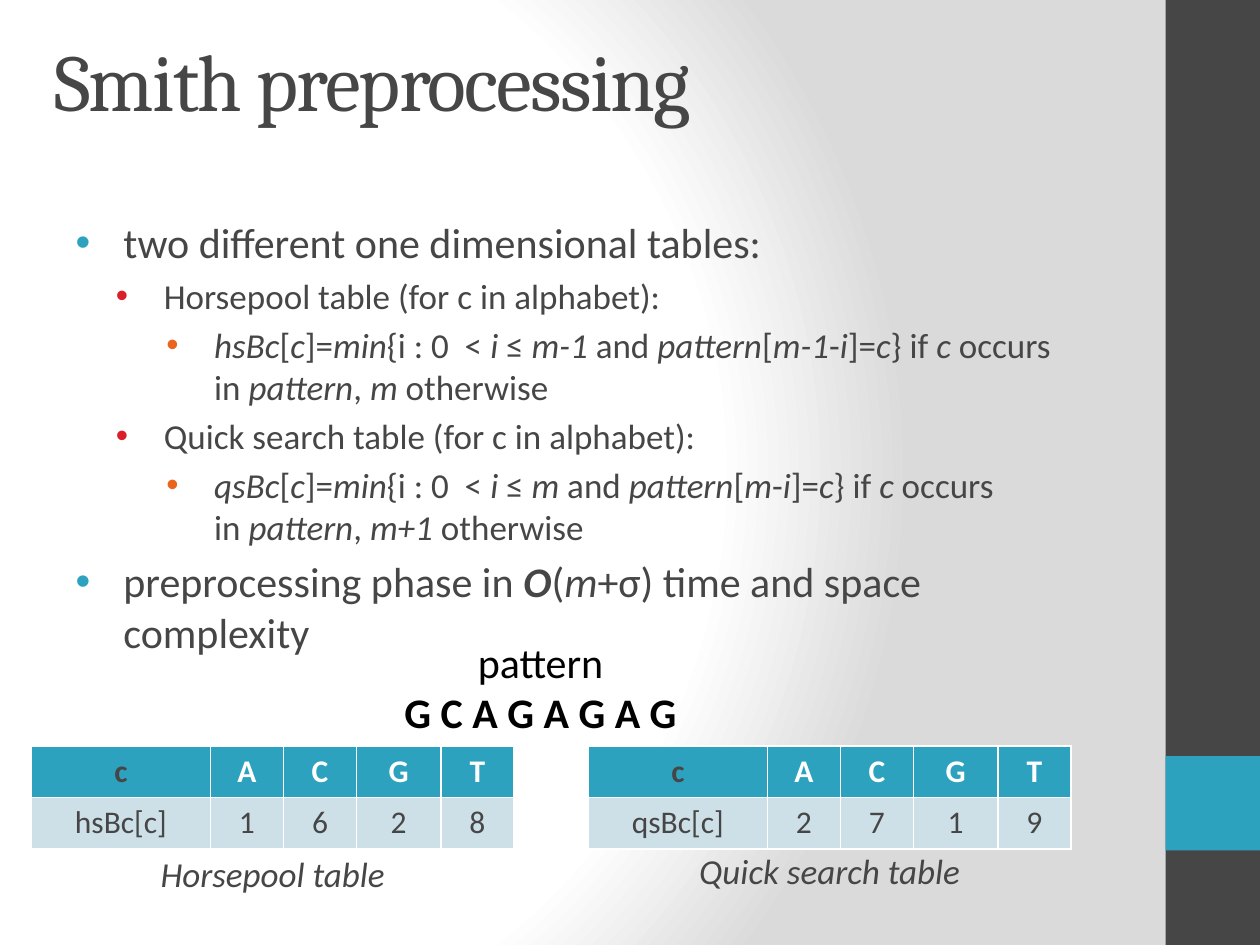
from lxml import etree
from pptx import Presentation
from pptx.dml.color import RGBColor
from pptx.enum.shapes import MSO_SHAPE as SHAPE
from pptx.enum.text import MSO_ANCHOR as ANCHOR, MSO_AUTO_SIZE as AUTO, PP_ALIGN as ALIGN
from pptx.oxml import parse_xml
from pptx.oxml.ns import qn
from pptx.util import Inches, Pt

DARK, TEAL, PALE, WHITE, BLACK = "464646", "2DA2BF", "CDE0E8", "FFFFFF", "000000"
NBSP = chr(160)


def style(font, color, **values):
    font.color.rgb = RGBColor.from_string(color)
    for name, value in {"name": "Calibri", **values}.items():
        setattr(font, name, value)


def label(box, lines, color, **values):
    """Add a centred text box with one paragraph per (text, bold) pair."""
    shape = slide.shapes.add_textbox(*map(Inches, box))
    frame = shape.text_frame
    frame.word_wrap = True
    for n, (text, bold) in enumerate(lines):
        para = frame.add_paragraph() if n else frame.paragraphs[0]
        para.alignment = ALIGN.CENTER
        run = para.add_run()
        run.text = text
        style(run.font, color, bold=bold, **values)


prs = Presentation()
prs.slide_width, prs.slide_height = Inches(10), Inches(7.5)
slide = prs.slides.add_slide(prs.slide_layouts[1])
title, body = slide.placeholders

# Background: light circle fading to grey
slide.background.fill.solid()
back = slide.background.fill._xPr
stops = "".join(
    f'<a:gs pos="{pos}000"><a:srgbClr val="{color}"/></a:gs>'
    for pos, color in ((0, WHITE), (75, WHITE), (100, "DADADA")))
back.replace(back[0], parse_xml(
    '<a:gradFill xmlns:a="http://schemas.openxmlformats.org/drawingml/2006/main" rotWithShape="1">'
    f'<a:gsLst>{stops}</a:gsLst><a:path path="circle">'
    '<a:fillToRect l="20000" t="50000" r="100000" b="50000"/></a:path></a:gradFill>'))

# Side bar
for top, height, color in ((0, 7.5, DARK), (6, 0.75, TEAL)):
    bar = slide.shapes.add_shape(
        SHAPE.RECTANGLE, Inches(9.25), Inches(top), Inches(0.75), Inches(height))
    bar.shadow.inherit = False
    bar.fill.solid()
    bar.fill.fore_color.rgb = RGBColor.from_string(color)
    bar.line.fill.background()

# Title and list frames
for holder, box, anchor in ((title, (0.33, -0.02, 8.67, 1.08), ANCHOR.BOTTOM),
                            (body, (0.5, 1.67, 8.33, 3.33), ANCHOR.TOP)):
    holder.left, holder.top, holder.width, holder.height = map(Inches, box)
    frame = holder.text_frame
    frame.word_wrap = True
    frame.auto_size = AUTO.NONE
    frame.vertical_anchor = anchor

head = title.text_frame.paragraphs[0]
head.alignment = ALIGN.LEFT
run = head.add_run()
run.text = "Smith preprocessing"
style(run.font, DARK, name="Cambria", size=Pt(46))
run.font._element.set("spc", "-100")

# List: *...* is italic, ~ is a no-break space
items = [
    (0, "two different one dimensional tables:"),
    (1, "Horsepool table (for c in alphabet):"),
    (2, "*hsBc*[*c*]=*min*{i~:~0~ <~*i*~≤ *m-1*~and~*pattern*[*m-1*-*i*]=*c*}~if~*c*"
        "~occurs in~*pattern*,~*m* otherwise"),
    (1, "Quick search table (for c in alphabet):"),
    (2, "*qsBc*[*c*]=*min*{i~:~0~ <~*i~*≤ *m*~and~*pattern*[*m*-*i*]=*c*}~if~*c*"
        "~occurs in~*pattern*,~*m+1* otherwise"),
    (0, "preprocessing phase in~*O*(*m*+σ)~time and space complexity"),
]
levels = [(0.38, 24, TEAL), (0.7, 20, "DA1F28"), (1.1, 20, "EB641B")]
for n, (level, text) in enumerate(items):
    indent, size, color = levels[level]
    para = body.text_frame.add_paragraph() if n else body.text_frame.paragraphs[0]
    para.level = level
    props = para._p.get_or_add_pPr()
    props.set("marL", str(Inches(indent)))
    props.set("indent", str(Inches(-0.38)))
    tint = etree.SubElement(props, qn("a:buClr"))
    etree.SubElement(tint, qn("a:srgbClr"), val=color)
    etree.SubElement(props, qn("a:buFont"), typeface="Arial")
    etree.SubElement(props, qn("a:buChar"), char="•")
    para.space_before = Pt(size * 0.2 if n else 0)
    for k, part in enumerate(text.replace("~", NBSP).split("*")):
        if part:
            run = para.add_run()
            run.text = part
            style(run.font, DARK, size=Pt(size), italic=k % 2 == 1, bold=part == "O")

# Shift tables with captions
tables = [
    (0.25, 6.72, "Horsepool table", ["hsBc[c]", "1", "6", "2", "8"]),
    (4.67, 6.69, "Quick search table", ["qsBc[c]", "2", "7", "1", "9"]),
]
for left, low, name, shifts in tables:
    grid = slide.shapes.add_table(
        2, 5, Inches(left), Inches(5.92), Inches(3.83), Inches(0.82)).table
    for col, width in zip(grid.columns, (1.42, 0.58, 0.58, 0.67, 0.58)):
        col.width = Inches(width)
    for r, row in enumerate((["c", "A", "C", "G", "T"], shifts)):
        for c, text in enumerate(row):
            cell = grid.cell(r, c)
            cell.fill.solid()
            cell.fill.fore_color.rgb = RGBColor.from_string(PALE if r else TEAL)
            para = cell.text_frame.paragraphs[0]
            para.alignment = ALIGN.CENTER
            run = para.add_run()
            run.text = text
            style(run.font, DARK if r or not c else WHITE, size=Pt(18), bold=r == 0)
    label((left, low, 3.83, 0.44), [(name, False)], DARK, size=Pt(20), italic=True)

label((3.08, 5, 2.42, 0.91), [("pattern", False), ("G C A G A G A G", True)],
      BLACK, size=Pt(24))

prs.save("out.pptx")
